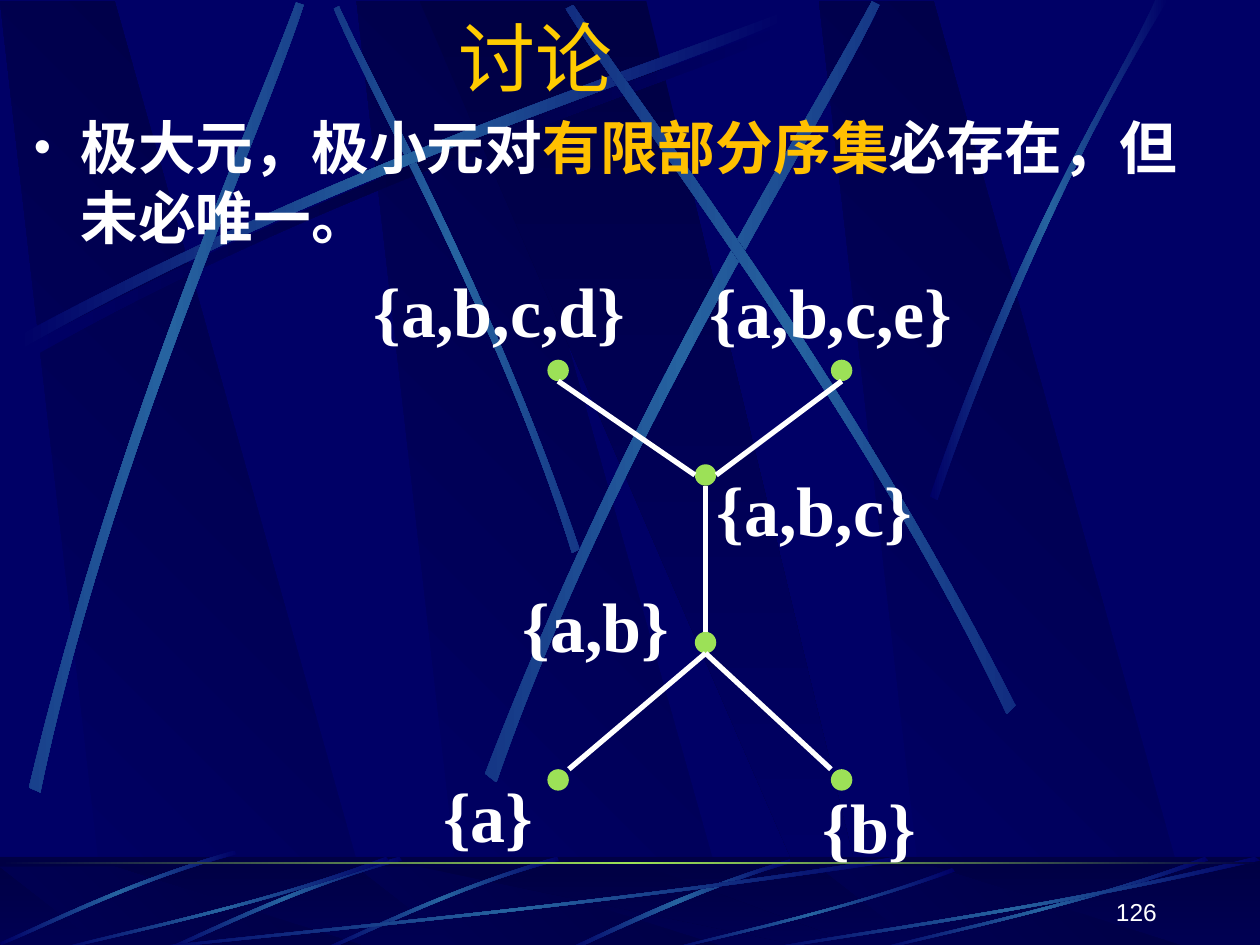
from math import cos, radians, sin

from lxml import etree
from pptx import Presentation
from pptx.dml.color import RGBColor
from pptx.enum.shapes import MSO_CONNECTOR, MSO_SHAPE
from pptx.enum.text import MSO_ANCHOR, PP_ALIGN
from pptx.oxml.ns import qn
from pptx.util import Cm, Pt

RECTANGLE, OVAL = MSO_SHAPE.RECTANGLE, MSO_SHAPE.OVAL
STRAIGHT = MSO_CONNECTOR.STRAIGHT
LEFT, CENTER, RIGHT = PP_ALIGN.LEFT, PP_ALIGN.CENTER, PP_ALIGN.RIGHT
TOP, MIDDLE, BOTTOM = MSO_ANCHOR.TOP, MSO_ANCHOR.MIDDLE, MSO_ANCHOR.BOTTOM
CM_PER_UNIT = 2.54

NAVY, DARK, STEEL, GREEN = "000066", "000044", "2663A0", "9CE157"
WHITE, YELLOW, ORANGE = "FFFFFF", "FFCC00", "FFC000"
GLOW, SHADE = (NAVY, STEEL, NAVY), (NAVY, DARK, NAVY)

TITLE = "讨论"
BODY = [("极大元，极小元对", WHITE), ("有限部分序集", ORANGE), ("必存在，但未必唯一。", WHITE)]
PAGE_NUMBER = "126"

DOT_RADIUS = 0.085
DOTS = {
    "abc": (5.6, 3.77), "ab": (5.6, 5.1),
    "abcd": (4.43, 2.94), "abce": (6.68, 2.94),
    "a": (4.43, 6.19), "b": (6.68, 6.19),
}
EDGES = [
    ("abc", (0, 1), "ab", (0, -1)),
    ("abcd", (0, 1), "abc", (-1, 0)),
    ("abce", (0, 1), "abc", (1, 0)),
    ("ab", (0, 1), "a", (1, -1)),
    ("ab", (0, 1), "b", (-1, -1)),
]
LABELS = [
    ("{a}", 3.42, 5.95, 1.01), ("{b}", 6.43, 6.04, 1.05),
    ("{a,b}", 4.05, 4.44, 1.46), ("{a,b,c}", 5.59, 3.52, 1.85),
    ("{a,b,c,d}", 2.87, 1.94, 2.3), ("{a,b,c,e}", 5.53, 1.95, 2.23),
]

SLANT = [(0.86, 1), (3.02, 1), (0.91, 0), (0, 0)]
BEAMS = [([(x + shift, y) for x, y in SLANT], (NAVY, DARK), 315) for shift in (2.83, 0, 6.5)]
BEAMS.append(([(3.33, 0), (6.58, 1), (6.94, 1), (5.13, 0)], (DARK, NAVY), 90))

ARC = [(0.14, 2.67), (2.78, 1.25), (5.18, 0.51), (6.2, 0.1),
       (6.23, 0.16), (5.22, 0.61), (2.48, 1.43), (0.17, 2.77)]
SKY_STREAKS = [
    (0, SHADE, [(x + 0.06, y + 0.08) for x, y in ARC]),
    (45, GLOW, [(4.6, 4.36), (3.91, 2.34), (3.02, 0.77), (2.69, 0.05),
                (2.65, 0.07), (2.95, 0.79), (3.98, 2.58), (4.54, 4.39)]),
    (0, GLOW, ARC),
    (311.7, GLOW, [(0.23, 6.25), (0.93, 3.34), (1.97, 1.05), (2.35, 0.02),
                   (2.41, 0.04), (2.07, 1.09), (0.86, 3.68), (0.32, 6.29)]),
    (321.6, GLOW, [(3.85, 6.14), (4.98, 3.2), (6.38, 1.02), (6.92, 0.01),
                   (6.98, 0.04), (6.49, 1.08), (4.86, 3.55), (3.94, 6.21)]),
    (34.7, GLOW, [(8.06, 5.6), (6.7, 2.93), (5.16, 0.95), (4.55, 0.04),
                  (4.49, 0.07), (5.07, 1.01), (6.85, 3.25), (7.99, 5.67)]),
    (0, GLOW, [(7.38, 3.94), (8.14, 1.73), (8.88, 0.66), (9.17, 0),
               (9.27, 0), (8.36, 1.45), (7.69, 3.22), (7.44, 3.97)]),
]
SHORT = [(3.17, 6.8), (2.3, 7.05), (1.62, 7.4), (1.31, 7.53),
         (1.32, 7.55), (1.63, 7.43), (2.4, 7.03), (3.19, 6.83)]
SWEEP = [(1, 0.04), (0.57, 0.57), (0.17, 0.85), (0.01, 1),
         (0, 0.99), (0.17, 0.81), (0.62, 0.51), (0.99, 0)]
SWEEP_BOXES = [(1, 6.8, 6.17, 0.75), (0.42, 6.8, 2.67, 0.75), (5.27, 6.89, 2.31, 0.66),
               (6.92, 6.8, 2.67, 0.75), (6, 6.8, 4, 0.75)]
FLOOR_STREAKS = [(0, GLOW, [(6.27, 6.82), (5.37, 7.09), (4.77, 7.42), (4.48, 7.54),
                            (4.53, 7.55), (4.9, 7.38), (5.71, 7), (6.28, 6.85)])]
FLOOR_STREAKS += [(315, GLOW, [(x + dx, y + dy) for x, y in SHORT])
                  for dx, dy in ((1.25, 0), (0, 0), (-1.31, -0.05))]
FLOOR_STREAKS += [(0, GLOW, [(left + x * width, top + y * height) for x, y in SWEEP])
                  for left, top, width, height in SWEEP_BOXES]


def length(value):
    return Cm(value * CM_PER_UNIT)


def color(value):
    return RGBColor.from_string(value)


def finish(shape, colors, angle=0, alpha=None):
    shape.shadow.inherit = False
    shape.line.fill.background()
    shape.fill.solid()
    shape.fill.fore_color.rgb = color(colors[0])
    solid = shape._element.spPr.find(qn("a:solidFill"))
    if alpha:
        etree.SubElement(solid[0], qn("a:alpha"), val=str(alpha * 1000))
    if len(colors) > 1:
        gradient = etree.Element(qn("a:gradFill"), rotWithShape="0")
        stops = etree.SubElement(gradient, qn("a:gsLst"))
        for index, value in enumerate(colors):
            position = index * 100000 // (len(colors) - 1)
            stop = etree.SubElement(stops, qn("a:gs"), pos=str(position))
            etree.SubElement(stop, qn("a:srgbClr"), val=value)
        etree.SubElement(gradient, qn("a:lin"), ang=str(angle * 60000), scaled="1")
        solid.getparent().replace(solid, gradient)


def add_preset(kind, box, colors, alpha=None):
    shape = slide.shapes.add_shape(kind, *map(length, box))
    finish(shape, colors, 90 if len(colors) == 2 else 0, alpha)


def add_outline(points, colors, angle=0):
    start, *rest = [(length(x), length(y)) for x, y in points]
    builder = slide.shapes.build_freeform(*start)
    builder.add_line_segments(rest, close=True)
    shape = builder.convert_to_shape()
    finish(shape, colors, angle)
    return shape


def add_beams(top, height):
    for points, colors, angle in BEAMS:
        add_outline([(x, top + y * height) for x, y in points], colors, angle)


def bend(shape):
    lines = list(shape._element.iter(qn("a:lnTo")))[:7]
    for first, *others in (lines[:3], lines[4:]):
        first.tag = qn("a:cubicBezTo")
        for line in others:
            first.append(line[0])
            line.getparent().remove(line)


def turn(x, y, degrees):
    angle = radians(degrees)
    return x * cos(angle) - y * sin(angle), x * sin(angle) + y * cos(angle)


def add_streak(rotation, colors, controls):
    shape = add_outline([turn(x, y, -rotation) for x, y in controls], colors)
    bend(shape)
    center = turn(shape.left + shape.width / 2, shape.top + shape.height / 2, rotation)
    shape.left = round(center[0] - shape.width / 2)
    shape.top = round(center[1] - shape.height / 2)
    shape.rotation = rotation


def add_text(box, runs, size, font, align=LEFT, anchor=TOP, bold=False, wrap=True, bullet=False):
    frame = slide.shapes.add_textbox(*map(length, box)).text_frame
    frame.word_wrap = wrap
    frame.vertical_anchor = anchor
    paragraph = frame.paragraphs[0]
    paragraph.alignment = align
    if bullet:
        properties = paragraph._p.get_or_add_pPr()
        properties.set("marL", str(length(0.37)))
        properties.set("indent", str(-length(0.37)))
        etree.SubElement(properties, qn("a:buSzPct"), val="85000")
        etree.SubElement(properties, qn("a:buFont"), typeface="Arial")
        etree.SubElement(properties, qn("a:buChar"), char="•")
    paragraph.font.size = Pt(size)
    paragraph.font.name = font
    paragraph.font.bold = bold
    for text, value in runs:
        run = paragraph.add_run()
        run.text = text
        run.font.color.rgb = color(value)
    return paragraph


presentation = Presentation()
presentation.slide_width, presentation.slide_height = length(10), length(7.5)
slide = presentation.slides.add_slide(presentation.slide_layouts[6])
slide.background.fill.solid()
slide.background.fill.fore_color.rgb = color(NAVY)

add_beams(0.01, 7.5)
for streak in SKY_STREAKS:
    add_streak(*streak)
floor = (0, 6.8, 10, 0.75)
add_preset(RECTANGLE, floor, (DARK, NAVY))
add_beams(6.88, 0.67)
add_preset(RECTANGLE, floor, (DARK,), alpha=50)
for streak in FLOOR_STREAKS:
    add_streak(*streak)
add_preset(RECTANGLE, (0, 6.84, 10, 0.02), (DARK, GREEN, DARK))

add_text((0, 0, 8.5, 0.9), [(TITLE, YELLOW)], 44, "Montserrat", CENTER, MIDDLE)
add_text((0.17, 0.84, 9.67, 5.83), BODY, 33, "Arial", bold=True, bullet=True)

for x, y in DOTS.values():
    add_preset(OVAL, (x - DOT_RADIUS, y - DOT_RADIUS, 2 * DOT_RADIUS, 2 * DOT_RADIUS), (GREEN,))
for first, first_side, second, second_side in EDGES:
    ends = [length(center + DOT_RADIUS * side)
            for name, sides in ((first, first_side), (second, second_side))
            for center, side in zip(DOTS[name], sides)]
    edge = slide.shapes.add_connector(STRAIGHT, *ends)
    edge.line.color.rgb = color(WHITE)
    edge.line.width = Pt(3)
    etree.SubElement(edge._element.spPr, qn("a:effectLst"))
for text, left, top, width in LABELS:
    label = add_text((left, top, width, 0.9), [(text, WHITE)], 40, "Times New Roman", bold=True, wrap=False)
    label.line_spacing = 1.2

add_text((7.2, 6.9, 2.08, 0.5), [(PAGE_NUMBER, WHITE)], 14, "Arial", RIGHT, BOTTOM)
presentation.save("out.pptx")
